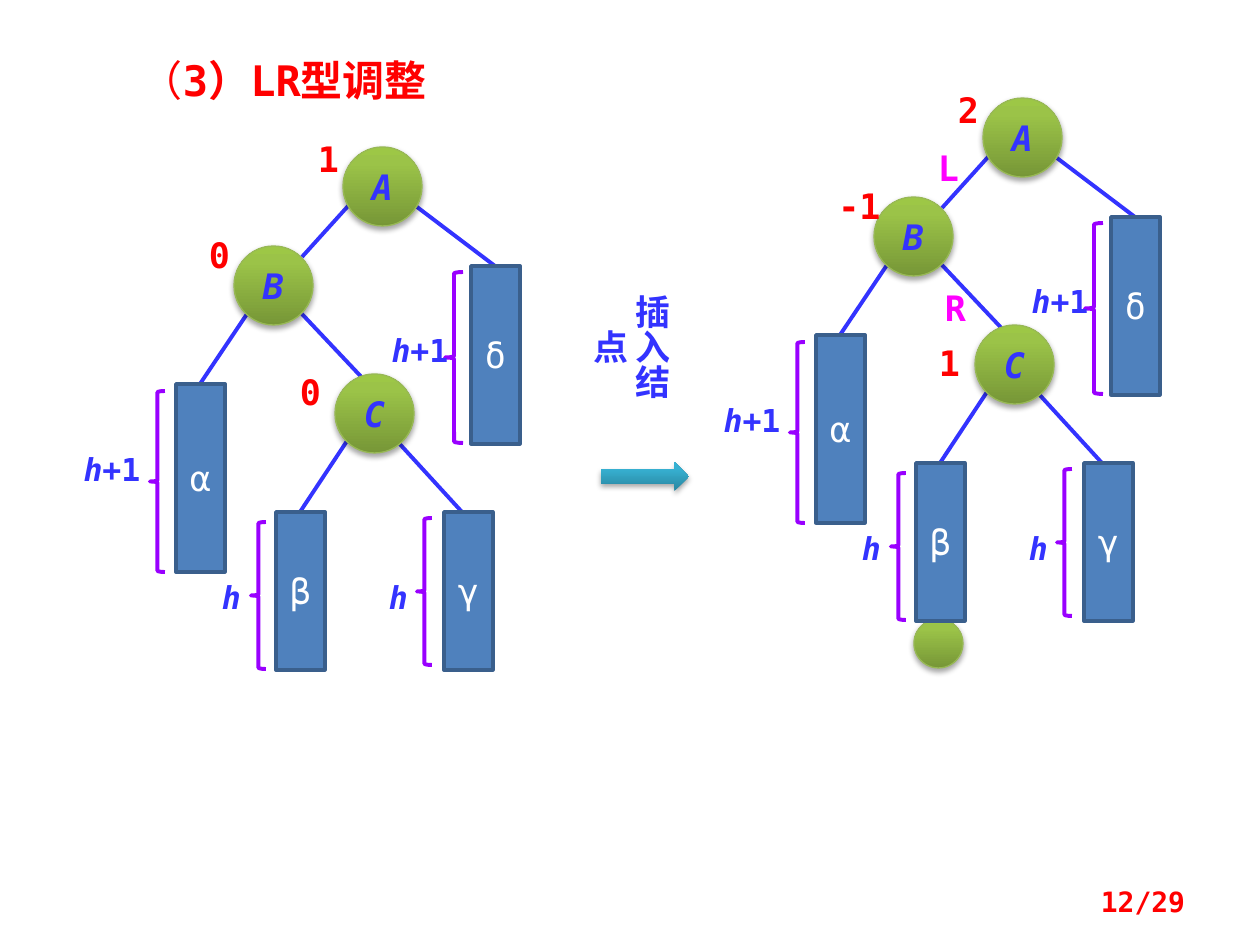
"""Build a slide on the LR rotation case: the tree before and after an insertion."""
from lxml import etree
from pptx import Presentation
from pptx import util as u
from pptx.dml.color import RGBColor
from pptx.enum import shapes, text
from pptx.oxml import ns

SCALE = 914400 / 126
FONT = "DejaVu Sans Mono"
BLUE, RED, PINK, PURPLE = "3333FF", "FF0000", "FF00FF", "9900FF"
GREENS = ("779737", "9BC348", "9DC746")
TEALS = ("2A88A2", "37B1D2", "34B4D6")
NODE = 79

EDGES = [
    (397, 441, 462, 512), (347, 441, 300, 512), (247, 314, 200, 384),
    (302, 314, 368, 384), (417, 207, 495, 266), (349, 205, 302, 257),
]
NODES = [("A", 343, 147), ("B", 234, 246), ("C", 335, 374)]
SUBTREES = [
    ("α", 176, 384, 188, (150, 391, 15, 181), ("+1", 78, 450, 68)),
    ("β", 276, 512, 158, (251, 522, 15, 147), ("", 207, 578, 49)),
    ("γ", 444, 512, 158, (417, 518, 15, 147), ("", 374, 578, 49)),
    ("δ", 471, 266, 178, (445, 272, 18, 171), ("+1", 386, 331, 68)),
]
MARKS = [
    ("1", 304, 137, RED), ("0", 195, 233, RED), ("0", 286, 370, RED),
    ("2", 944, 88, RED), ("-1", 835, 184, RED), ("1", 925, 341, RED),
    ("L", 924, 146, PINK), ("R", 931, 286, PINK),
]


def px(*lengths):
    """Turn pixel lengths into EMU."""
    return [u.Emu(round(length * SCALE)) for length in lengths]


def color(value):
    """Turn a hex string into a colour."""
    return RGBColor.from_string(value)


def child(parent, tag, **attributes):
    """Append a DrawingML element to a parent."""
    return etree.SubElement(parent, ns.qn(tag), attributes)


def write(shape, runs, size, fill, align=text.PP_ALIGN.CENTER,
          anchor=text.MSO_ANCHOR.MIDDLE, inset=0):
    """Fill a shape with one paragraph of (words, bold, italic) runs."""
    frame = shape.text_frame
    frame.word_wrap = True
    frame.vertical_anchor = anchor
    frame.margin_left, frame.margin_right = px(inset, inset)
    frame.margin_top, frame.margin_bottom = px(inset / 2, inset / 2)
    paragraph = frame.paragraphs[0]
    paragraph.alignment = align
    font = paragraph.font
    font.name, font.size = FONT, u.Pt(size)
    font.color.rgb = color(fill)
    for words, bold, italic in runs:
        run = paragraph.add_run()
        run.text = words
        run.font.bold, run.font.italic = bold, italic


def add_text(slide, box, runs, size, fill, **layout):
    """Add a text box."""
    textbox = slide.shapes.add_textbox(*px(*box))
    write(textbox, runs, size, fill, **layout)
    return textbox


def add_shape(slide, kind, box, line=None, width=0.75):
    """Add a preset shape without fill or shadow."""
    shape = slide.shapes.add_shape(kind, *px(*box))
    shape.shadow.inherit = False
    shape.fill.background()
    if line:
        shape.line.color.rgb = color(line)
        shape.line.width = u.Pt(width)
    else:
        shape.line.fill.background()
    return shape


def add_glossy(slide, kind, box, tones, line=None):
    """Add a shape with an upright gradient and a soft shadow."""
    shape = add_shape(slide, kind, box, line)
    shape.fill.gradient()
    shape.fill.gradient_angle = 90
    properties = shape._element.spPr
    stops = properties.find(".//" + ns.qn("a:gsLst"))
    for stop in list(stops):
        stops.remove(stop)
    for position, tone in zip((0, 80000, 100000), tones):
        stop = child(stops, "a:gs", pos=str(position))
        child(stop, "a:srgbClr", val=tone)
    effects = properties.find(ns.qn("a:effectLst"))
    shadow = child(effects, "a:outerShdw", blurRad="40000", dist="23000",
                   dir="5400000", rotWithShape="0")
    child(child(shadow, "a:srgbClr", val="000000"), "a:alpha", val="35000")
    return shape


def add_edge(slide, ends):
    """Add a straight tree edge."""
    edge = slide.shapes.add_connector(shapes.MSO_CONNECTOR.STRAIGHT, *px(*ends))
    edge.line.color.rgb = color(BLUE)
    edge.line.width = u.Pt(2.25)
    child(edge._element.spPr, "a:effectLst")


def add_subtree(slide, name, box, brace, height, label):
    """Add a subtree block with its height brace and label."""
    block = add_shape(slide, shapes.MSO_SHAPE.RECTANGLE, box, "3A5F8C", 2)
    block.fill.solid()
    block.fill.fore_color.rgb = color("4F81BD")
    write(block, [(name, False, False)], 20, "FFFFFF")
    add_shape(slide, shapes.MSO_SHAPE.LEFT_BRACE, brace, PURPLE, 2.25)
    runs = [("h", True, True)]
    if height:
        runs.append((height, True, False))
    add_text(slide, label, runs, 18, BLUE)


def add_tree(slide, dx, dy):
    """Add the whole tree, moved by an offset."""
    for x1, y1, x2, y2 in EDGES:
        add_edge(slide, (x1 + dx, y1 + dy, x2 + dx, y2 + dy))
    for name, x, y in NODES:
        node = add_glossy(slide, shapes.MSO_SHAPE.OVAL,
                          (x + dx, y + dy, NODE, NODE), GREENS, "98B955")
        write(node, [(name, True, True)], 20, BLUE)
    for name, x, y, tall, brace, (height, label_x, label_y, wide) in SUBTREES:
        brace_x, brace_y, *brace_size = brace
        add_subtree(slide, name, (x + dx, y + dy, 49, tall),
                    (brace_x + dx, brace_y + dy, *brace_size), height,
                    (label_x + dx, label_y + dy, wide, 38))


def add_step(slide):
    """Add the arrow and the vertical caption between the trees."""
    add_glossy(slide, shapes.MSO_SHAPE.RIGHT_ARROW, (601, 462, 88, 29), TEALS)
    caption = add_text(slide, (589, 295, 84, 130), [("插入结点", True, False)],
                       20, BLUE, anchor=text.MSO_ANCHOR.TOP)
    caption.text_frame._txBody.bodyPr.set("vert", "eaVert")


def main():
    """Build and save the slide."""
    presentation = Presentation()
    presentation.slide_width, presentation.slide_height = px(1260, 945)
    slide = presentation.slides.add_slide(presentation.slide_layouts[6])
    add_text(slide, (129, 49, 374, 63),
             [("（", False, False), ("3）LR型调整", True, False)], 24, RED,
             align=text.PP_ALIGN.JUSTIFY, anchor=text.MSO_ANCHOR.TOP, inset=12)
    add_tree(slide, 0, 0)
    add_step(slide)
    add_glossy(slide, shapes.MSO_SHAPE.OVAL, (914, 619, 49, 49), GREENS, "98B955")
    add_tree(slide, 640, -49)
    for mark, x, y, fill in MARKS:
        add_text(slide, (x, y, 49, 43), [(mark, True, False)], 20, fill)
    add_text(slide, (903, 876, 294, 50), [("12/29", True, False)], 16, RED,
             align=text.PP_ALIGN.RIGHT, inset=12)
    presentation.save("out.pptx")


if __name__ == "__main__":
    main()
